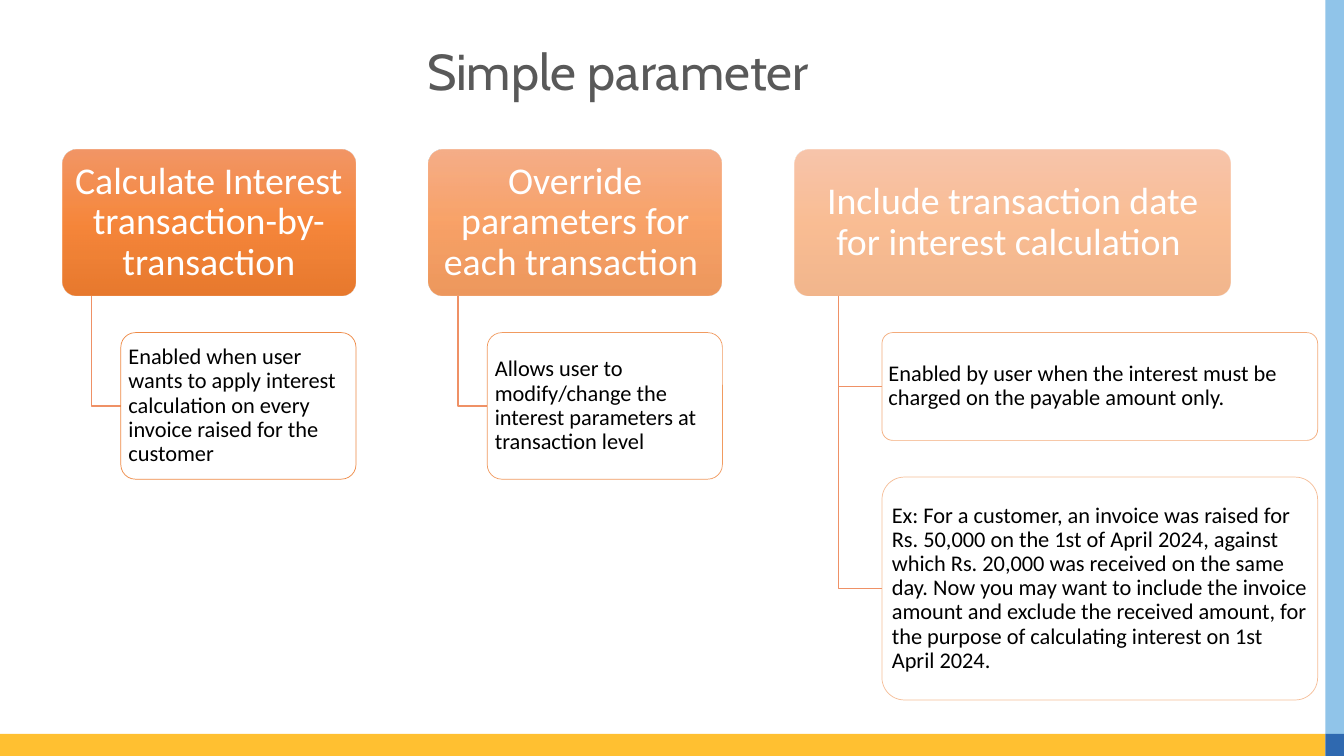
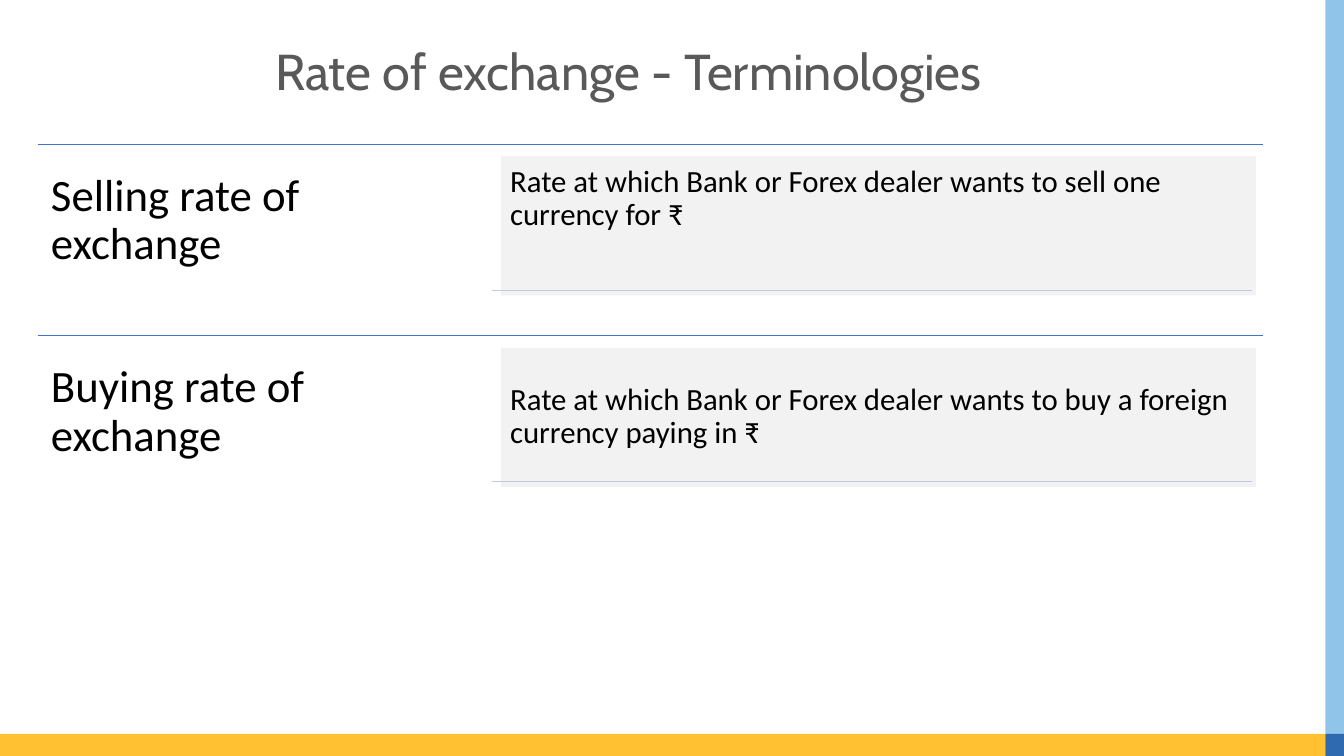
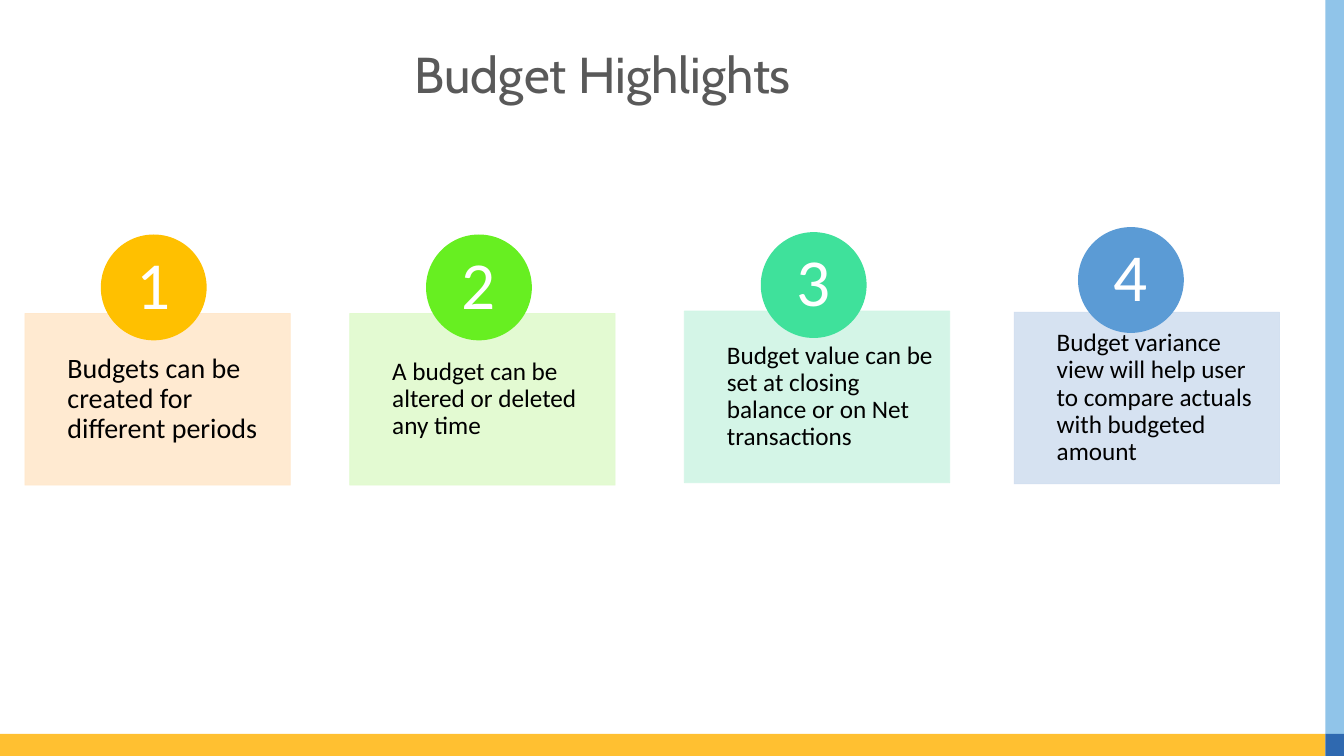
"""Build three slides on interest parameters, exchange rates and budgets."""
from lxml.etree import SubElement
from pptx import Presentation
from pptx.dml.color import RGBColor
from pptx.enum.shapes import MSO_CONNECTOR as LINK, MSO_SHAPE as SHAPE
from pptx.enum.text import MSO_ANCHOR as ANCHOR, PP_ALIGN as ALIGN
from pptx.oxml.ns import qn
from pptx.util import Pt

COLORS = {
    "yellow": "FFC031", "sky": "90C4E9", "navy": "2F69B0", "title": "595959",
    "black": "000000", "white": "FFFFFF", "orange": "ED7D31", "elbow": "EF9166",
    "grad_top": "F18C57", "grad_mid": "F67B28", "grad_end": "E56C19",
    "panel": "F2F2F2", "rule": "4472C4", "thin_rule": "C1C9E4",
    "peach": "FFE8CC", "lime": "E1FACE", "mint": "D0F5E5", "ice": "D2DFF0",
    "amber": "FFC000", "green": "67EF21", "teal": "3FE19B", "blue": "5B9BD5",
}


def write(shape, text, size, color="black", font="Calibri", align=ALIGN.LEFT,
          anchor=ANCHOR.MIDDLE, margins=(0, 0, 0, 0)):
    frame = shape.text_frame
    frame.word_wrap = True
    frame.vertical_anchor = anchor
    (frame.margin_left, frame.margin_top,
     frame.margin_right, frame.margin_bottom) = map(Pt, margins)
    paragraph = frame.paragraphs[0]
    paragraph.alignment = align
    paragraph.line_spacing = 0.9
    run = paragraph.add_run()
    run.text = text
    run.font.size = Pt(size)
    run.font.name = font
    run.font.color.rgb = RGBColor.from_string(COLORS[color])


def add_box(slide, kind, left, top, width, height, fill, line=None, alphas=(100, 100)):
    shape = slide.shapes.add_shape(kind, Pt(left), Pt(top), Pt(width), Pt(height))
    shape.shadow.inherit = False
    for paint, color in ((shape.fill, fill), (shape.line.fill, line)):
        if color:
            paint.solid()
            paint.fore_color.rgb = RGBColor.from_string(COLORS[color])
        else:
            paint.background()
    if line:
        shape.line.width = Pt(0.5)
    for tint, alpha in zip(shape._element.spPr.iter(qn("a:srgbClr")), alphas):
        if alpha < 100:
            SubElement(tint, qn("a:alpha"), val=str(alpha * 1000))
    return shape


prs = Presentation()
prs.slide_width, prs.slide_height = Pt(960), Pt(540)

slides = []
for title, left, top in (
    ("Simple parameter", 110.9, 25.9),
    ("Rate of exchange - Terminologies ", 122.4, 25.9),
    ("Budget Highlights", 100.1, 27.4),
):
    slide = prs.slides.add_slide(prs.slide_layouts[6])
    slides.append(slide)
    add_box(slide, SHAPE.RECTANGLE, 0, 524.2, 946.8, 15.8, "yellow")
    add_box(slide, SHAPE.RECTANGLE, 946.8, 0, 13.2, 524.2, "sky")
    add_box(slide, SHAPE.RECTANGLE, 946.8, 524.2, 13.2, 15.8, "navy")
    heading = slide.shapes.add_textbox(Pt(left), Pt(top), Pt(661), Pt(50.4))
    write(heading, title, 36, "title", "Cabin", ALIGN.CENTER, ANCHOR.BOTTOM,
          (7.2, 3.6, 7.2, 3.6))

parameter_slide, exchange_slide, budget_slide = slides

parameters = [
    ("Calculate Interest transaction-by-transaction", 209.5, 90, 168, [
        ("Enabled when user wants to apply interest calculation on every invoice "
         "raised for the customer", 104.7, 90)]),
    ("Override parameters for each transaction ", 209.5, 70, 168, [
        ("Allows user to modify/change the interest parameters at transaction level",
         104.7, 77)]),
    ("Include transaction date for interest calculation ", 311.2, 50, 311.2, [
        ("Enabled by user when the interest must be charged on the payable amount only.",
         77, 63),
        ("Ex: For a customer, an invoice was raised for Rs. 50,000 on the 1st of April "
         "2024, against which Rs. 20,000 was received on the same day. Now you may want "
         "to include the invoice amount and exclude the received amount, for the purpose "
         "of calculating interest on 1st April 2024.", 159.2, 50)]),
]
header_top, header_height, detail_gap, column_gap = 106.7, 104.7, 26.2, 52.2
header_bottom = header_top + header_height
left = 44.4
for name, width, opacity, detail_width, details in parameters:
    header = add_box(parameter_slide, SHAPE.ROUNDED_RECTANGLE, left, header_top,
                     width, header_height, None)
    header.adjustments[0] = 0.1
    header.fill.gradient()
    header.fill.gradient_angle = 270
    stops = header._element.spPr.find(".//" + qn("a:gsLst"))
    stops.clear()
    for position, color in ((0, "grad_top"), (50, "grad_mid"), (100, "grad_end")):
        stop = SubElement(stops, qn("a:gs"), pos=str(position * 1000))
        tint = SubElement(stop, qn("a:srgbClr"), val=COLORS[color])
        SubElement(tint, qn("a:alpha"), val=str(opacity * 1000))
    write(header, name, 27, "white", align=ALIGN.CENTER, margins=(4, 2.7, 4, 2.7))

    stem, detail_left = left + width * 0.1, left + width * 0.2
    detail_top = header_bottom + detail_gap
    for text, height, opacity in details:
        middle = detail_top + height / 2
        outline = parameter_slide.shapes.build_freeform(Pt(stem), Pt(header_bottom))
        outline.add_line_segments(
            [(Pt(stem), Pt(middle)), (Pt(detail_left), Pt(middle))], close=False)
        elbow = outline.convert_to_shape()
        elbow.shadow.inherit = False
        elbow.fill.background()
        elbow.line.color.rgb = RGBColor.from_string(COLORS["elbow"])
        elbow.line.width = Pt(1)
        detail = add_box(parameter_slide, SHAPE.ROUNDED_RECTANGLE, detail_left, detail_top,
                         detail_width, height, "white", "orange", (90, opacity))
        detail.adjustments[0] = 0.1
        write(detail, text, 16, margins=(2.4, 1.6, 2.4, 1.6))
        detail_top += height + detail_gap
    left += width + column_gap

terms = [
    ("Selling rate of exchange",
     "Rate at which Bank or Forex dealer wants to sell one currency for ₹", ANCHOR.TOP),
    ("Buying rate of exchange",
     "Rate at which Bank or Forex dealer wants to buy a foreign currency paying in ₹",
     ANCHOR.MIDDLE),
]
for row, (term, meaning, anchor) in enumerate(terms):
    top = 103 + row * 136.8
    label = exchange_slide.shapes.add_textbox(Pt(26.8), Pt(top), Pt(324.7), Pt(109.4))
    write(label, term, 32, margins=(9.6, 9.6, 20, 9.6))
    panel = add_box(exchange_slide, SHAPE.RECTANGLE, 357.8, top + 8.6, 539.3, 99.4, "panel")
    write(panel, meaning, 22, anchor=anchor, margins=(6.6, 6.6, 6.6, 6.6))
    for start, end, y, color in ((26.8, 902.2, top, "rule"),
                                 (351.8, 894.2, top + 104.4, "thin_rule")):
        rule = exchange_slide.shapes.add_connector(
            LINK.STRAIGHT, Pt(start), Pt(y), Pt(end), Pt(y))
        rule.line.color.rgb = RGBColor.from_string(COLORS[color])
        rule.line.width = Pt(0.5)
        SubElement(rule._element.spPr, qn("a:effectLst"))

highlights = [
    ("Budgets can be created for different periods", 20, 11.5,
     17.8, 223.9, "peach", 72, 167.5, "amber"),
    ("A budget can be altered or deleted any time", 18, 10.1,
     249.8, 223.9, "lime", 304.3, 167.5, "green"),
    ("Budget value can be set at closing balance or on Net transactions", 18, 10.1,
     488.8, 222.2, "mint", 543.4, 165.8, "teal"),
    ("Budget variance view will help user to compare actuals with budgeted amount", 18, 10.1,
     724.4, 223, "ice", 770, 162.2, "blue"),
]
for number, (text, size, margin, left, top, card_color,
             badge_left, badge_top, badge_color) in enumerate(highlights, 1):
    card = add_box(budget_slide, SHAPE.RECTANGLE, left, top, 189.6, 122.6,
                   card_color, card_color, (90, 90))
    write(card, text, size, margins=(30.4, margin, margin, margin))
    badge = add_box(budget_slide, SHAPE.OVAL, badge_left, badge_top, 75.6, 75.6, badge_color)
    write(badge, str(number), 48, "white", align=ALIGN.CENTER)

prs.save("out.pptx")
